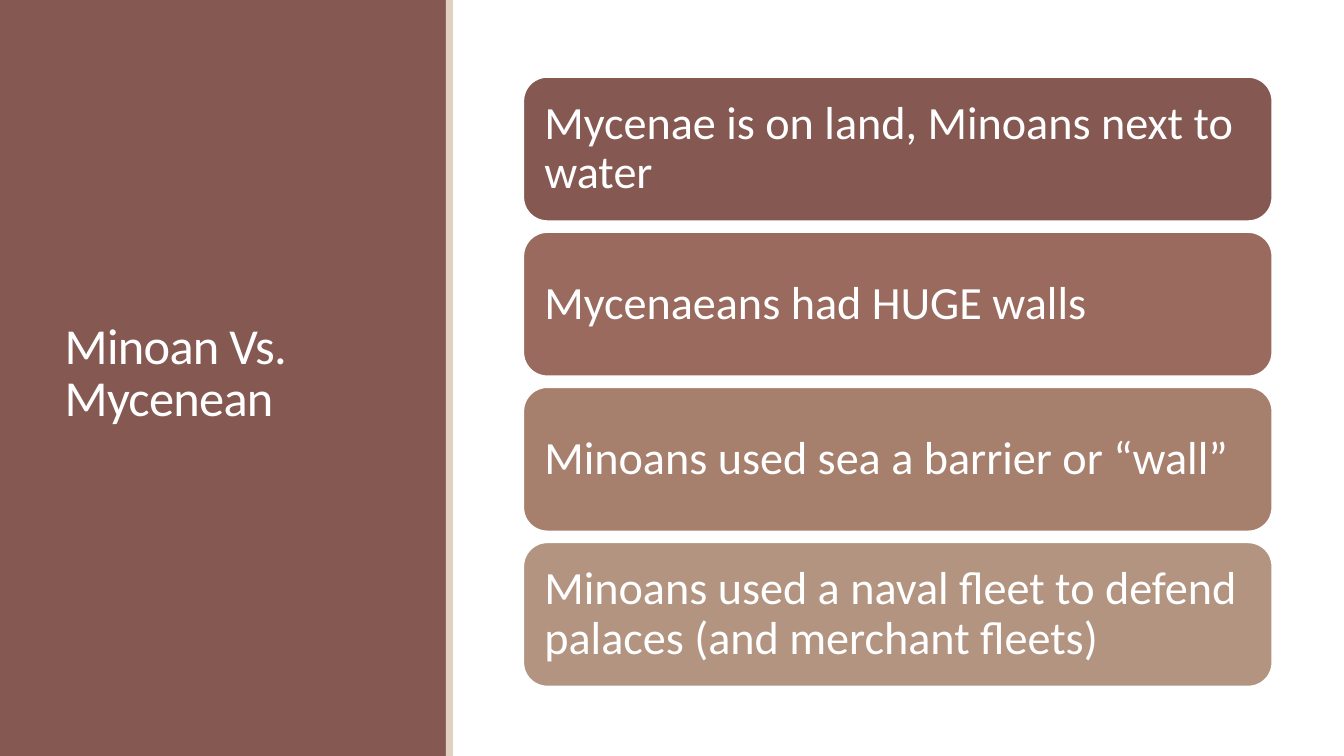
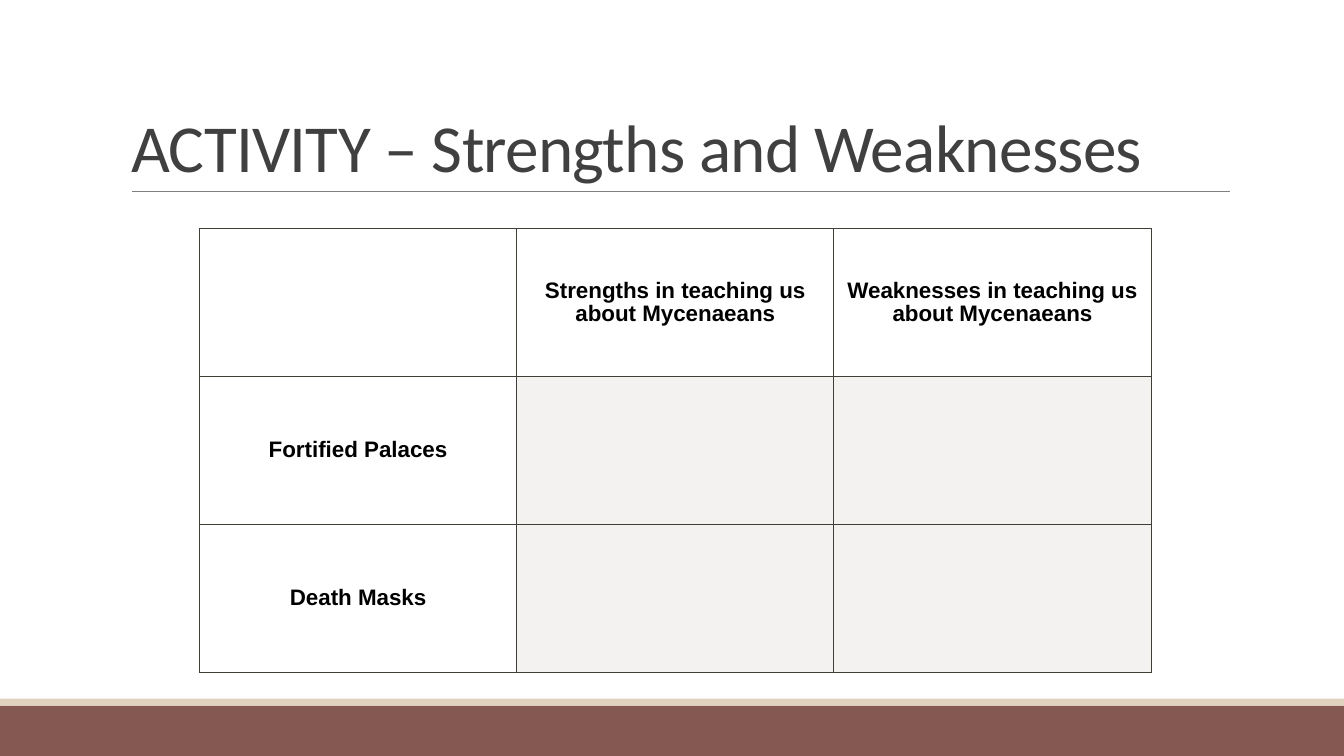
from lxml import etree
from pptx import Presentation
from pptx.dml.color import RGBColor
from pptx.enum.shapes import MSO_CONNECTOR, MSO_SHAPE
from pptx.enum.text import MSO_ANCHOR, MSO_AUTO_SIZE, PP_ALIGN
from pptx.oxml.ns import qn
from pptx.util import Pt

LEFT, CENTER = PP_ALIGN.LEFT, PP_ALIGN.CENTER
MIDDLE, BOTTOM = MSO_ANCHOR.MIDDLE, MSO_ANCHOR.BOTTOM
RECTANGLE, ROUNDED = MSO_SHAPE.RECTANGLE, MSO_SHAPE.ROUNDED_RECTANGLE

BROWN = RGBColor(0x86, 0x58, 0x52)
SAND = RGBColor(0xE1, 0xD2, 0xBF)
WHITE = RGBColor(0xFF, 0xFF, 0xFF)
BLACK = RGBColor(0x00, 0x00, 0x00)
TITLE_GRAY = RGBColor(0x40, 0x40, 0x40)
RULE_GRAY = RGBColor(0x80, 0x80, 0x80)
BORDER = RGBColor(0x3F, 0x3F, 0x38)
ANSWER_FILL = RGBColor(0xF4, 0xF2, 0xF1)

SLIDE_WIDTH, SLIDE_HEIGHT = 960, 540
STRIP = 5
HEADING_FONT, TABLE_FONT = "Calibri", "Arial"

COMPARISON_TITLE = "Minoan Vs. Mycenean"
COMPARISONS = [
    ("Mycenae is on land, Minoans next to water", BROWN),
    ("Mycenaeans had HUGE walls", RGBColor(0x99, 0x6A, 0x5D)),
    ("Minoans used sea a barrier or “wall”", RGBColor(0xA7, 0x7F, 0x6D)),
    ("Minoans used a naval fleet to defend palaces (and merchant fleets)",
     RGBColor(0xB2, 0x94, 0x80)),
]
ACTIVITY_TITLE = "ACTIVITY – Strengths and Weaknesses"
ACTIVITY_ROWS = [
    ("", "Strengths in teaching us about Mycenaeans",
     "Weaknesses in teaching us about Mycenaeans"),
    ("Fortified Palaces", "", ""),
    ("Death Masks", "", ""),
]


def points(*lengths):
    return [Pt(length) for length in lengths]


def format_paragraph(paragraph, font_name, size, color, alignment, spacing, bold=False):
    paragraph.alignment = alignment
    paragraph.line_spacing = spacing
    font = paragraph.font
    font.name, font.size, font.bold = font_name, Pt(size), bold
    font.color.rgb = color


def add_filled_shape(slide, kind, box, color):
    shape = slide.shapes.add_shape(kind, *points(*box))
    shape.shadow.inherit = False
    shape.fill.solid()
    shape.fill.fore_color.rgb = color
    shape.line.fill.background()
    return shape


def add_title_slide_part(presentation, title, box, size, color, anchor):
    """Add a title-only slide and format its title; return the slide."""
    slide = presentation.slides.add_slide(presentation.slide_layouts[5])
    placeholder = slide.shapes.title
    placeholder.left, placeholder.top, placeholder.width, placeholder.height = points(*box)
    frame = placeholder.text_frame
    frame.text = title
    frame.word_wrap = True
    frame.auto_size = MSO_AUTO_SIZE.NONE
    frame.vertical_anchor = anchor
    paragraph = frame.paragraphs[0]
    format_paragraph(paragraph, HEADING_FONT, size, color, LEFT, 0.85)
    paragraph.runs[0]._r.get_or_add_rPr().set("spc", "-50")
    return slide


def send_to_back(slide, shape):
    slide.shapes._spTree.insert(2, shape._element)


def add_comparison_slide(presentation):
    slide = add_title_slide_part(
        presentation, COMPARISON_TITLE, (39, 41, 243, 454), 36, WHITE, MIDDLE)
    panel_width = 318.5
    panel = add_filled_shape(slide, RECTANGLE, (0, 0, panel_width, SLIDE_HEIGHT), BROWN)
    send_to_back(slide, panel)
    add_filled_shape(slide, RECTANGLE, (panel_width, 0, STRIP, SLIDE_HEIGHT), SAND)

    left, top, width, height, pitch = 373.8, 55, 535, 103, 110.8
    for index, (text, color) in enumerate(COMPARISONS):
        card = add_filled_shape(
            slide, ROUNDED, (left, top + index * pitch, width, height), color)
        card.line.color.rgb = WHITE
        card.line.width = Pt(1.25)
        frame = card.text_frame
        frame.text = text
        frame.word_wrap = True
        frame.vertical_anchor = MIDDLE
        frame.margin_left = frame.margin_right = Pt(10)
        frame.margin_top = frame.margin_bottom = Pt(10)
        format_paragraph(frame.paragraphs[0], HEADING_FONT, 33, WHITE, LEFT, 0.9)


def set_borders(cell, top, bottom):
    """Draw all four borders; top and bottom are widths in points."""
    properties = cell._tc.get_or_add_tcPr()
    for side, width in (("L", 0.75), ("R", 0.75), ("T", top), ("B", bottom)):
        line = etree.SubElement(properties, qn(f"a:ln{side}"), w=str(Pt(width)))
        fill = etree.SubElement(line, qn("a:solidFill"))
        etree.SubElement(fill, qn("a:srgbClr"), val=str(BORDER))


def add_activity_table(slide):
    column_width, row_height = 226.6, 105.6
    row_count, column_count = len(ACTIVITY_ROWS), len(ACTIVITY_ROWS[0])
    table = slide.shapes.add_table(row_count, column_count, *points(
        142.5, 163.4, column_width * column_count, row_height * row_count)).table
    table.first_row = table.horz_banding = False
    for row_index, texts in enumerate(ACTIVITY_ROWS):
        for column_index, text in enumerate(texts):
            cell = table.cell(row_index, column_index)
            set_borders(cell, top=1.5 if row_index == 1 else 0.75,
                        bottom=1.5 if row_index == 0 else 0.75)
            if row_index and column_index:
                cell.fill.solid()
                cell.fill.fore_color.rgb = ANSWER_FILL
            else:
                cell.fill.background()
            if text:
                cell.text = text
                cell.vertical_anchor = MIDDLE
                cell.margin_left = cell.margin_right = Pt(3)
                cell.margin_top = cell.margin_bottom = Pt(3)
                format_paragraph(cell.text_frame.paragraphs[0], TABLE_FONT, 16,
                                 BLACK, CENTER, 0.93, bold=True)


def add_activity_slide(presentation):
    slide = add_title_slide_part(
        presentation, ACTIVITY_TITLE, (86.4, 22.5, 792, 114.2), 48, TITLE_GRAY, BOTTOM)
    footer_top = 504
    add_filled_shape(slide, RECTANGLE,
                     (0, footer_top, SLIDE_WIDTH, SLIDE_HEIGHT - footer_top), BROWN)
    add_filled_shape(slide, RECTANGLE, (0, footer_top - STRIP, SLIDE_WIDTH, STRIP), SAND)
    rule = slide.shapes.add_connector(
        MSO_CONNECTOR.STRAIGHT, *points(94.3, 136.7, 878.8, 136.7))
    rule.line.color.rgb = RULE_GRAY
    rule.line.width = Pt(0.5)
    etree.SubElement(rule._element.spPr, qn("a:effectLst"))
    add_activity_table(slide)


def main():
    presentation = Presentation()
    presentation.slide_width, presentation.slide_height = points(SLIDE_WIDTH, SLIDE_HEIGHT)
    add_comparison_slide(presentation)
    add_activity_slide(presentation)
    presentation.save("out.pptx")


if __name__ == "__main__":
    main()
